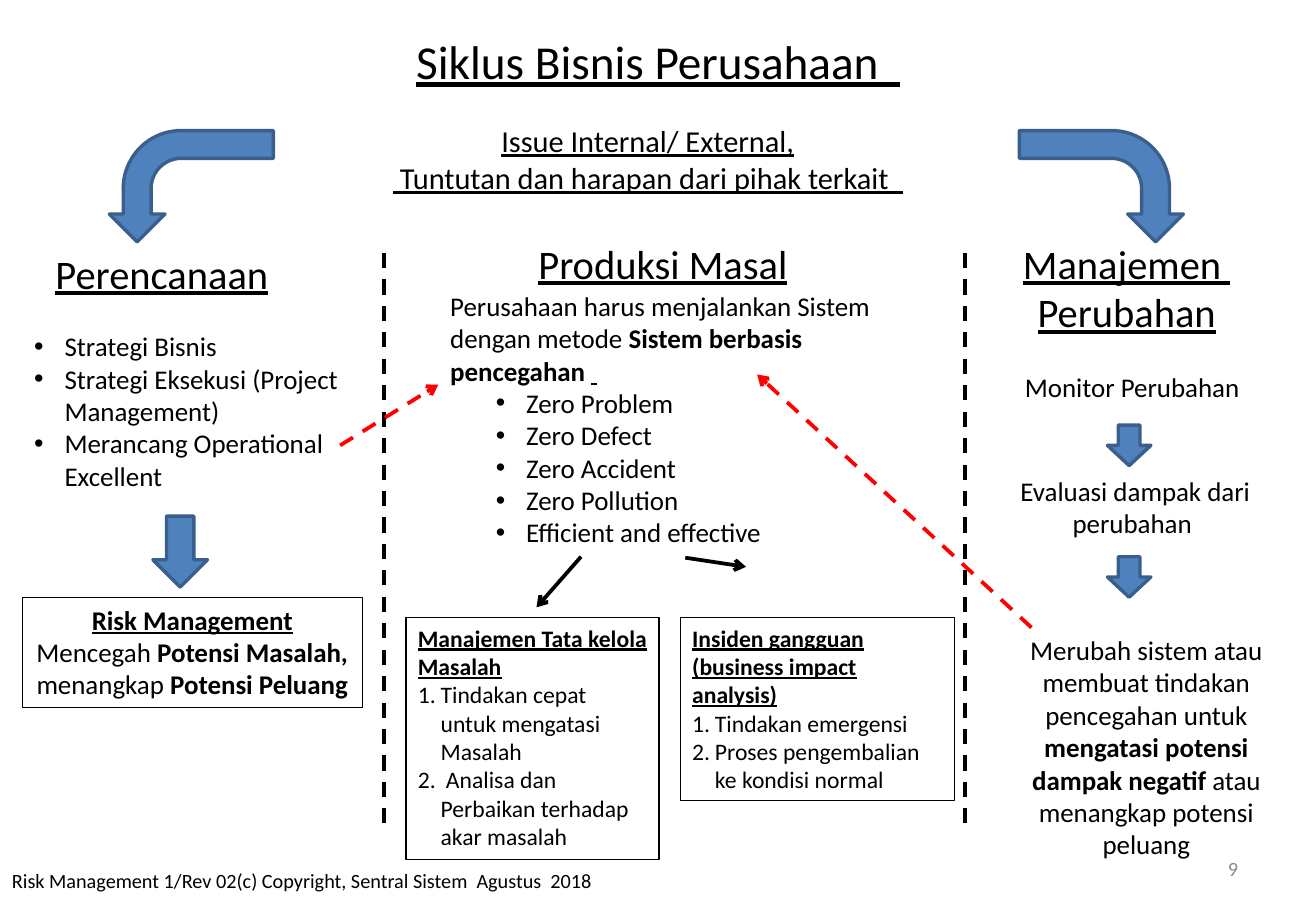
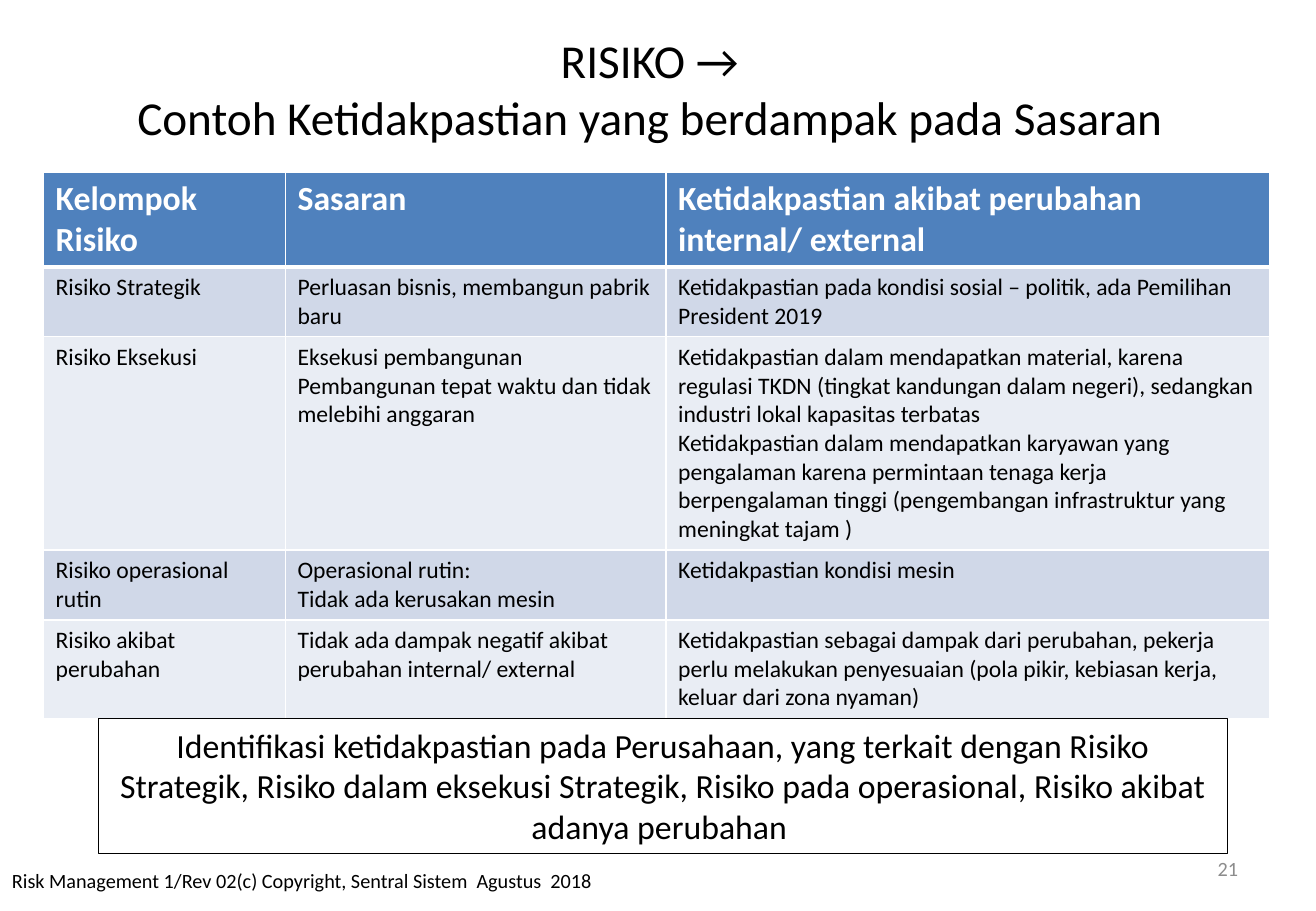
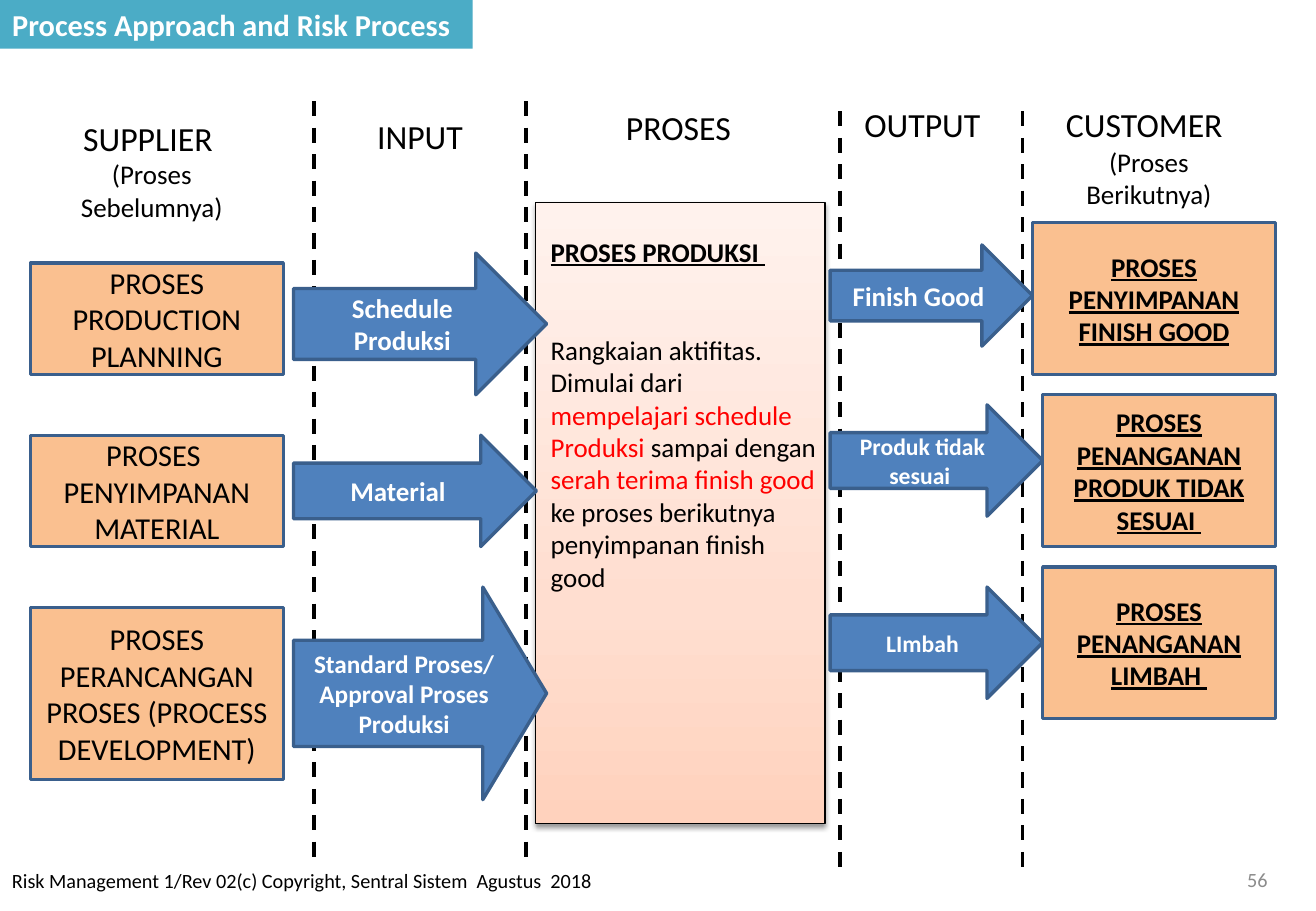
from collections import namedtuple

from lxml import etree
from pptx import Presentation
from pptx.dml.color import RGBColor
from pptx.enum.dml import MSO_LINE
from pptx.enum.shapes import MSO_CONNECTOR, MSO_SHAPE
from pptx.enum.text import MSO_ANCHOR, MSO_AUTO_SIZE, PP_ALIGN
from pptx.oxml import parse_xml
from pptx.oxml.ns import nsdecls, qn
from pptx.util import Emu, Pt

LEFT, CENTER, RIGHT = PP_ALIGN.LEFT, PP_ALIGN.CENTER, PP_ALIGN.RIGHT
TOP, MIDDLE = MSO_ANCHOR.TOP, MSO_ANCHOR.MIDDLE
RECT, DOWN_ARROW = MSO_SHAPE.RECTANGLE, MSO_SHAPE.DOWN_ARROW
RIGHT_ARROW, BENT_ARROW = MSO_SHAPE.RIGHT_ARROW, MSO_SHAPE.BENT_ARROW
STRAIGHT, DASH = MSO_CONNECTOR.STRAIGHT, MSO_LINE.DASH
NO_FIT = MSO_AUTO_SIZE.NONE

COLORS = {
    "black": "000000", "white": "FFFFFF", "red": "FF0000", "grey": "8C8C8C",
    "blue": "4F81BD", "edge": "3A5F8C", "orange": "FAC090", "teal": "4BACC6",
    "band_dark": "D0D8E8", "band_light": "E9EDF4",
    "peach": "FFD2BD", "peach_mid": "FFDED0", "peach_pale": "FFF2ED",
}
FONT = "Calibri"
GRID = 76200
COLUMNS, ROWS = 130, 90
FOOTER = "Risk Management 1/Rev 02(c) Copyright, Sentral Sistem  Agustus  2018"

Box = namedtuple("Box", "left top width height")


def grid(cells):
    return Emu(round(cells * GRID))


def within(area, left, top, width, height):
    return Box(area.left + left, area.top + top, width, height)


def rgb(name):
    return RGBColor.from_string(COLORS[name])


def para(*runs, **style):
    return runs, style


def styled(text, **style):
    return text, style


def add_bullet(paragraph, bullet, hang, indent):
    properties = paragraph._p.get_or_add_pPr()
    properties.set("marL", str(grid(indent)))
    properties.set("indent", str(-grid(hang)))
    if bullet == "1.":
        etree.SubElement(properties, qn("a:buFont"), typeface="+mj-lt")
        etree.SubElement(properties, qn("a:buAutoNum"), type="arabicPeriod")
    else:
        etree.SubElement(properties, qn("a:buFont"), typeface="Arial")
        etree.SubElement(properties, qn("a:buChar"), char=bullet)


def write(frame, *paragraphs, size=16, color="black", bold=False, underline=False,
          align=LEFT, anchor=TOP, wrap=True, insets=None):
    frame.auto_size = NO_FIT
    frame.word_wrap = wrap
    frame.vertical_anchor = anchor
    if insets:
        (frame.margin_left, frame.margin_top,
         frame.margin_right, frame.margin_bottom) = map(grid, insets)
    for index, content in enumerate(paragraphs):
        runs, style = ((content,), {}) if isinstance(content, str) else content
        paragraph = frame.add_paragraph() if index else frame.paragraphs[0]
        paragraph.alignment = align
        if "bullet" in style:
            add_bullet(paragraph, style["bullet"], style["hang"], style["indent"])
        if "before" in style:
            paragraph.space_before = Pt(style["before"])
        base = {"size": size, "color": color, "bold": bold,
                "underline": underline, **style}
        for piece in runs:
            text, override = (piece, {}) if isinstance(piece, str) else piece
            look = {**base, **override}
            run = paragraph.add_run()
            run.text = text
            run.font.name = FONT
            run.font.size = Pt(look["size"])
            run.font.bold = look["bold"]
            run.font.underline = look["underline"]
            run.font.color.rgb = rgb(look["color"])


def add_label(slide, box, *paragraphs, **style):
    label = slide.shapes.add_textbox(*map(grid, box))
    write(label.text_frame, *paragraphs, **style)


def add_block(slide, kind, box, *paragraphs, fill=None, line="edge", weight=2, **style):
    block = slide.shapes.add_shape(kind, *map(grid, box))
    block.shadow.inherit = False
    if fill:
        block.fill.solid()
        block.fill.fore_color.rgb = rgb(fill)
    else:
        block.fill.background()
    block.line.color.rgb = rgb(line)
    block.line.width = Pt(weight)
    if paragraphs:
        write(block.text_frame, *paragraphs, **style)
    return block


def add_frame(slide, box, *paragraphs, **style):
    return add_block(slide, RECT, box, *paragraphs, line="black", weight=0.75, **style)


def add_line(slide, start, end, color="black", dashed=False, arrow=False):
    line = slide.shapes.add_connector(STRAIGHT, *map(grid, (*start, *end)))
    line.line.color.rgb = rgb(color)
    line.line.width = Pt(2.25)
    if dashed:
        line.line.dash_style = DASH
    properties = line._element.spPr
    if arrow:
        etree.SubElement(properties.find(qn("a:ln")), qn("a:tailEnd"), type="arrow")
    etree.SubElement(properties, qn("a:effectLst"))


def add_title(slide, box, *paragraphs, **style):
    title = slide.shapes.title
    title.left, title.top, title.width, title.height = map(grid, box)
    write(title.text_frame, *paragraphs,
          **{"size": 28, "align": CENTER, "anchor": MIDDLE, **style})
    return title


def new_slide(deck, number, number_at=(93.1, 83.4)):
    slide = deck.slides.add_slide(deck.slide_layouts[5])
    add_label(slide, Box(0, 85.2, 77, 4.8), FOOTER, size=12)
    add_label(slide, Box(*number_at, 30.4, 4.8), number, size=12, color="grey",
              align=RIGHT, anchor=MIDDLE)
    return slide


def planning_column(slide, area):
    add_label(slide, within(area, 2.1, 1, 23.6, 6), "Perencanaan",
              size=24, underline=True, wrap=False)
    plans = ("Strategi Bisnis", "Strategi Eksekusi (Project Management)",
             "Merancang Operational Excellent")
    add_label(slide, within(area, 0, 9, 34.7, 20.6),
              *[para(plan, bullet="•", hang=3, indent=3) for plan in plans])
    add_frame(slide, within(area, 0, 36, 33.6, 10.9),
              para("Risk Management", bold=True, underline=True),
              para("Mencegah ", styled("Potensi Masalah, ", bold=True),
                   "menangkap ", styled("Potensi Peluang", bold=True)),
              align=CENTER)
    add_block(slide, DOWN_ARROW, within(area, 12.9, 28, 5.4, 7), fill="blue")


def production_column(slide, area):
    add_label(slide, within(area, 11.9, 0, 27.2, 6), "Produksi Masal",
              size=24, underline=True, wrap=False)
    goals = ("Zero Problem", "Zero Defect", "Zero Accident", "Zero Pollution",
             "Efficient and effective")
    add_label(slide, within(area, 3.2, 5, 48.7, 27.1),
              para("Perusahaan harus menjalankan Sistem dengan metode ",
                   styled("Sistem berbasis pencegahan ", bold=True),
                   styled(" ", bold=True, underline=True)),
              *[para(goal, bullet="•", hang=3, indent=7.5) for goal in goals])
    responses = (
        ((0, 38, 25, 23.9), "Manajemen Tata kelola Masalah",
         ("Tindakan cepat untuk mengatasi Masalah",
          " Analisa dan Perbaikan terhadap akar masalah")),
        ((27.1, 38, 27.1, 18.1), "Insiden gangguan (business impact analysis)",
         ("Tindakan emergensi", "Proses pengembalian ke kondisi normal")),
    )
    for place, heading, steps in responses:
        add_frame(slide, within(area, *place),
                  para(heading, bold=True, underline=True),
                  *[para(step, bullet="1.", hang=2.25, indent=2.25) for step in steps],
                  size=14)
    for start, end in (((17.3, 32), (12.9, 37)), ((27.6, 32.1), (33.6, 33))):
        add_line(slide, (area.left + start[0], area.top + start[1]),
                 (area.left + end[0], area.top + end[1]), arrow=True)


def change_column(slide, area):
    add_label(slide, within(area, 1.1, 0, 23.2, 11), "Manajemen ", "Perubahan",
              size=24, underline=True, align=CENTER, wrap=False)
    stages = (
        ((0, 13, 27.1, 4.4), "Monitor Perubahan "),
        ((0, 23.3, 27.1, 7.7), "Evaluasi dampak dari perubahan "),
        ((0, 39, 29.3, 23.9),
         para("Merubah sistem atau membuat tindakan pencegahan untuk ",
              styled("mengatasi potensi dampak negatif ", bold=True),
              "atau menangkap potensi peluang")),
    )
    for place, stage in stages:
        add_label(slide, within(area, *place), stage, align=CENTER)
    for top in (19, 32):
        add_block(slide, DOWN_ARROW, within(area, 10.8, top, 4.3, 4), fill="blue")


def business_cycle_slide(deck):
    slide = new_slide(deck, "9")
    add_title(slide, Box(6.5, 1, 117, 10), "Siklus Bisnis Perusahaan  ", underline=True)
    add_label(slide, Box(16.2, 11.5, 95.6, 8.5), "Issue Internal/ External,",
              " Tuntutan dan harapan dari pihak terkait  ",
              size=18, underline=True, align=CENTER)
    for divider in (37.9, 95.3):
        add_line(slide, (divider, 25), (divider, 82), dashed=True)
    planning_column(slide, Box(2.2, 23, 34.7, 62))
    production_column(slide, Box(40.1, 23, 54.2, 62))
    change_column(slide, Box(98.6, 23, 29.3, 62))
    for start, end in (((101.9, 62), (74.8, 37)), ((33.6, 44), (43.3, 38))):
        add_line(slide, start, end, color="red", dashed=True, arrow=True)
    for left, flipped in ((103.3, False), (13.4, True)):
        turn = add_block(slide, BENT_ARROW, Box(left, 10.3, 11, 16.2), fill="blue")
        turn.adjustments[3] = 0.52
        turn.rotation = 90
        if flipped:
            turn._element.spPr.find(qn("a:xfrm")).set("flipV", "1")


def border_cell(cell, bottom):
    properties = cell._tc.get_or_add_tcPr()
    sides = (("lnL", 1), ("lnR", 1), ("lnT", 1), ("lnB", bottom))
    for position, (side, weight) in enumerate(sides):
        properties.insert(position, parse_xml(
            f'<a:{side} {nsdecls("a")} w="{Pt(weight)}"><a:solidFill>'
            f'<a:srgbClr val="{COLORS["white"]}"/></a:solidFill></a:{side}>'))


def risk_table(slide, left, top, widths, heights, rows):
    table = slide.shapes.add_table(
        len(rows), len(widths),
        *map(grid, (left, top, sum(widths), sum(heights)))).table
    for column, width in zip(table.columns, widths):
        column.width = grid(width)
    for index, (row, height, texts) in enumerate(zip(table.rows, heights, rows)):
        row.height = grid(height)
        header = index == 0
        fill = "blue" if header else ("band_light", "band_dark")[index % 2]
        for cell, text in zip(row.cells, texts):
            cell.fill.solid()
            cell.fill.fore_color.rgb = rgb(fill)
            border_cell(cell, 3 if header else 1)
            write(cell.text_frame, *text.split("\n"), size=20 if header else 14,
                  color="white" if header else "black", bold=header)


def uncertainty_slide(deck):
    slide = new_slide(deck, "21")
    add_title(slide, Box(2.2, 0, 125, 17.4), "RISIKO → ",
              "Contoh Ketidakpastian yang berdampak pada Sasaran ")
    risk_table(slide, 4.3, 17, (23.9, 37.6, 59.6), (9.2, 6.9, 21, 6.9, 9.7), (
        ("Kelompok Risiko", "Sasaran",
         "Ketidakpastian akibat perubahan internal/ external"),
        ("Risiko Strategik", "Perluasan bisnis, membangun pabrik baru",
         "Ketidakpastian pada kondisi sosial – politik, ada Pemilihan President 2019"),
        ("Risiko Eksekusi",
         "Eksekusi pembangunan\nPembangunan tepat waktu dan tidak melebihi anggaran",
         "Ketidakpastian dalam mendapatkan material, karena regulasi TKDN (tingkat "
         "kandungan dalam negeri), sedangkan industri lokal kapasitas terbatas\n"
         "Ketidakpastian dalam mendapatkan karyawan yang pengalaman karena permintaan "
         "tenaga kerja berpengalaman tinggi (pengembangan infrastruktur yang "
         "meningkat tajam )"),
        ("Risiko operasional rutin", "Operasional rutin:\nTidak ada kerusakan mesin",
         "Ketidakpastian kondisi mesin"),
        ("Risiko akibat perubahan",
         "Tidak ada dampak negatif akibat perubahan internal/ external",
         "Ketidakpastian sebagai dampak dari perubahan, pekerja perlu melakukan "
         "penyesuaian (pola pikir, kebiasan kerja, keluar dari zona nyaman)"),
    ))
    add_frame(slide, Box(9.7, 71, 111.6, 13.3),
              "Identifikasi ketidakpastian pada Perusahaan, yang terkait dengan Risiko "
              "Strategik, Risiko dalam eksekusi Strategik, Risiko pada operasional, "
              "Risiko akibat adanya perubahan ", size=20, align=CENTER)


def production_process(slide, area):
    process = add_frame(
        slide, area,
        para("PROSES PRODUKSI ", bold=True, underline=True),
        para("Rangkaian aktifitas.", before=39),
        para("Dimulai dari ", styled("mempelajari schedule Produksi ", color="red"),
             "sampai dengan ", styled("serah terima finish good ", color="red"),
             "ke proses berikutnya penyimpanan finish good"),
        insets=(1.5, 3.25, 0, 0))
    properties = process._element.spPr
    stops = "".join(
        f'<a:gs pos="{share * 1000}"><a:srgbClr val="{COLORS[name]}"/></a:gs>'
        for share, name in ((0, "peach"), (35, "peach_mid"), (100, "peach_pale")))
    properties.replace(properties.find(qn("a:noFill")), parse_xml(
        f'<a:gradFill {nsdecls("a")} rotWithShape="1"><a:gsLst>{stops}</a:gsLst>'
        '<a:lin ang="16200000" scaled="0"/></a:gradFill>'))
    properties.find(qn("a:effectLst")).append(parse_xml(
        f'<a:outerShdw {nsdecls("a")} blurRad="{Pt(3.1)}" dist="{Pt(1.6)}" '
        f'dir="5400000" rotWithShape="0"><a:srgbClr val="{COLORS["black"]}">'
        '<a:alpha val="38000"/></a:srgbClr></a:outerShdw>'))


def process_stack(slide, blocks, **style):
    for box, *paragraphs in blocks:
        add_block(slide, RECT, Box(*box), *paragraphs, fill="orange",
                  align=CENTER, anchor=MIDDLE, **style)


def flow_arrows(slide, left, flows):
    for top, width, height, size, head, *paragraphs in flows:
        flow = add_block(slide, RIGHT_ARROW, Box(left, top, width, height), *paragraphs,
                         fill="blue", size=size, color="white", bold=True,
                         align=CENTER, anchor=MIDDLE)
        flow.adjustments[1] = head


def process_approach_slide(deck):
    slide = new_slide(deck, "56", (96, 84.5))
    title = add_title(slide, Box(0, 0, 46.7, 4.8), "Process Approach and Risk Process",
                      size=18, color="white", bold=True, align=LEFT, wrap=False)
    title.fill.solid()
    title.fill.fore_color.rgb = rgb("teal")
    for divider, top in ((31, 10), (52, 10), (83, 11), (101, 11)):
        add_line(slide, (divider, top), (divider, top + 75), dashed=True)
    lanes = (
        (3, 11, 24, "SUPPLIER ", para("(Proses Sebelumnya)", size=16)),
        (30, 10.8, 23, "INPUT"),
        (55.9, 10, 23, "PROSES "),
        (80, 9.7, 23, "OUTPUT "),
        (102, 9, 23, para("CUSTOMER", styled(" ", size=24)),
         para("(Proses Berikutnya)", size=16)),
    )
    for left, top, width, *heading in lanes:
        add_label(slide, Box(left, top, width, 5.3 * len(heading)), *heading,
                  size=20, align=CENTER)
    production_process(slide, Box(52.9, 20, 28.6, 61.4))
    process_stack(slide, (
        ((3, 26, 25, 11), "PROSES PRODUCTION PLANNING"),
        ((3, 43, 25, 11), "PROSES ", "PENYIMPANAN MATERIAL"),
        ((3, 60, 25, 17), "PROSES PERANCANGAN PROSES (PROCESS DEVELOPMENT)"),
    ), size=18)
    process_stack(slide, (
        ((102, 22, 24, 15), "PROSES PENYIMPANAN FINISH GOOD"),
        ((103, 39, 23, 15), "PROSES PENANGANAN PRODUK TIDAK SESUAI "),
        ((103, 56, 23, 15), "PROSES PENANGANAN LIMBAH "),
    ), bold=True, underline=True)
    flow_arrows(slide, 29, (
        (25, 25, 14, 16, 0.5, "Schedule Produksi"),
        (43, 24, 11, 16, 0.5, "Material "),
        (58, 25, 21, 15, 0.3, "Standard Proses/", "Approval Proses Produksi"),
    ))
    flow_arrows(slide, 82, (
        (24.2, 20, 10, 16, 0.5, "Finish Good"),
        (40, 21, 11, 14, 0.5, "Produk tidak sesuai "),
        (58, 21, 11, 14, 0.5, "LImbah"),
    ))


def main():
    deck = Presentation()
    deck.slide_width, deck.slide_height = grid(COLUMNS), grid(ROWS)
    business_cycle_slide(deck)
    uncertainty_slide(deck)
    process_approach_slide(deck)
    deck.save("out.pptx")


if __name__ == "__main__":
    main()
